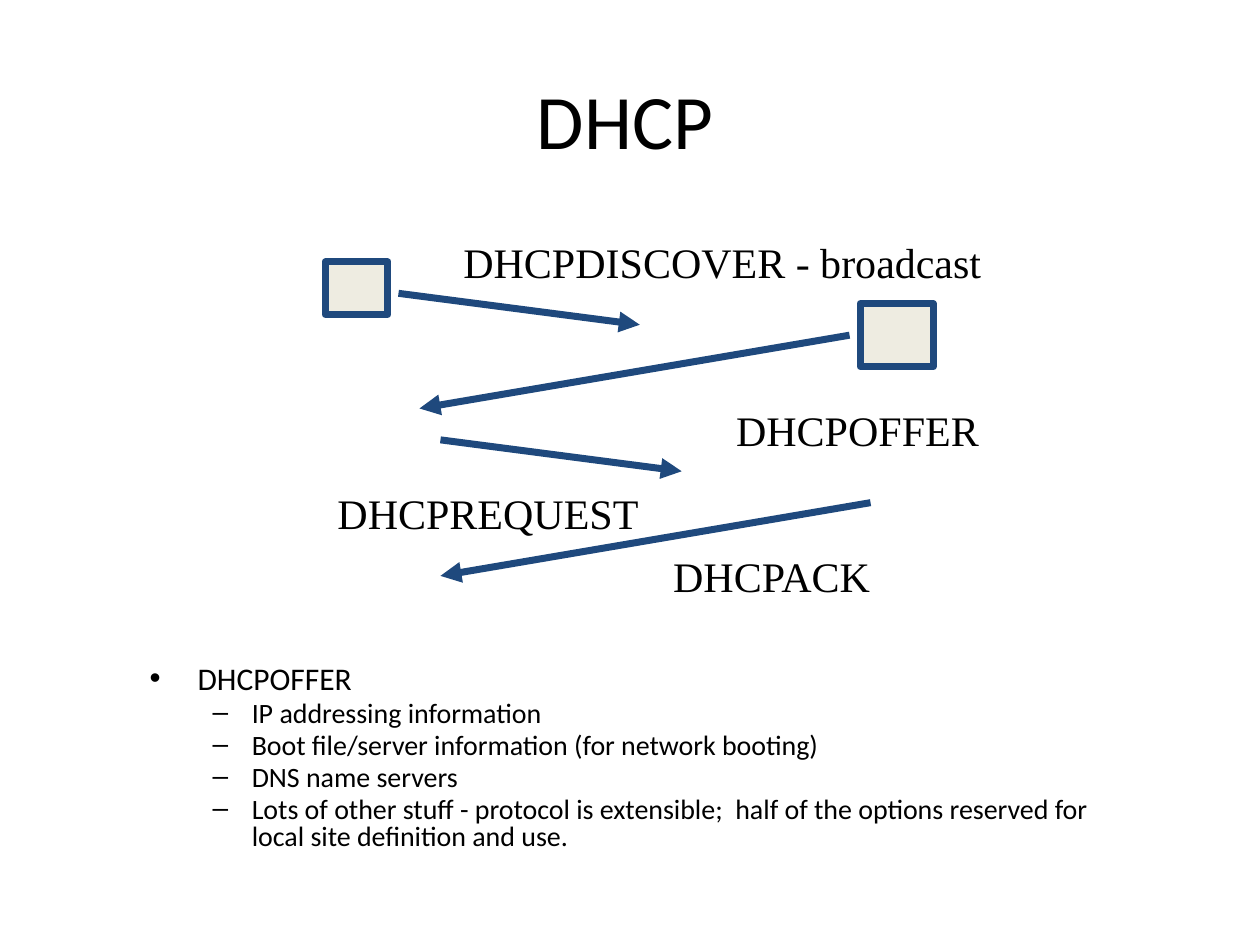
from pptx import Presentation
from pptx.dml.color import RGBColor
from pptx.enum.shapes import MSO_CONNECTOR as Connector, MSO_SHAPE as Shape
from pptx.enum.text import MSO_ANCHOR as Anchor, PP_ALIGN as Align
from pptx.oxml.ns import qn
from pptx.util import Inches, Pt
from lxml.etree import SubElement

BLACK = RGBColor(0x00, 0x00, 0x00)
NAVY = RGBColor(0x1F, 0x49, 0x7D)
CREAM = RGBColor(0xEE, 0xEC, 0xE1)
STROKE = Pt(4)
GRID_COLUMNS, GRID_ROWS = 83, 36

HOSTS = [(0, 3, 6, 5), (51, 7, 7, 6)]
MESSAGES = [
    ("DHCPDISCOVER - broadcast", (12, 0, 71, 6), (7, 6), (30, 9)),
    ("DHCPOFFER", (38, 16, 29, 6), (50, 10), (9, 17)),
    ("DHCPREQUEST", (0, 24, 32, 6), (11, 20), (34, 23)),
    ("DHCPACK", (32, 30, 29, 6), (52, 26), (11, 33)),
]
OFFER_CONTENTS = [
    ("DHCPOFFER", 0),
    ("IP addressing information", 1),
    ("Boot file/server information (for network booting)", 1),
    ("DNS name servers", 1),
    ("Lots of other stuff - protocol is extensible;  half of the options "
     "reserved for local site definition and use.", 1),
]
LEVELS = [("•", 0.38, 0.38, 18), ("–", 0.81, 0.31, 16)]


def write(paragraph, text, size, font="Calibri", align=Align.LEFT,
          spacing=None, before=0):
    """Fill a paragraph with text in the given format."""
    paragraph.text = text
    paragraph.alignment = align
    paragraph.line_spacing = spacing
    paragraph.space_before = Pt(before)
    paragraph.font.size = Pt(size)
    paragraph.font.name = font
    paragraph.font.color.rgb = BLACK


def add_bullet(paragraph, mark, margin, hang):
    """Give a paragraph a bullet mark and a hanging indent in inches."""
    properties = paragraph._p.get_or_add_pPr()
    properties.set("marL", str(Inches(margin)))
    properties.set("indent", str(-Inches(hang)))
    SubElement(properties, qn("a:buFont"), typeface="Arial")
    SubElement(properties, qn("a:buChar"), char=mark)


def add_host(slide, box):
    """Draw one host as an outlined square."""
    host = slide.shapes.add_shape(Shape.RECTANGLE, *box)
    host.shadow.inherit = False
    host.fill.solid()
    host.fill.fore_color.rgb = CREAM
    host.line.color.rgb = NAVY
    host.line.width = STROKE


def add_arrow(slide, start, end):
    """Draw a message arrow between two points."""
    arrow = slide.shapes.add_connector(Connector.STRAIGHT, *start, *end)
    arrow.line.color.rgb = NAVY
    arrow.line.width = STROKE
    SubElement(arrow.line._get_or_add_ln(), qn("a:tailEnd"), type="triangle")
    SubElement(arrow._element.spPr, qn("a:effectLst"))


def add_title(slide, box):
    """Place the slide title in the given box."""
    title = slide.shapes.title
    title.left, title.top, title.width, title.height = box
    title.text_frame.vertical_anchor = Anchor.MIDDLE
    write(title.text_frame.paragraphs[0], "DHCP", 44, align=Align.CENTER)


def add_exchange(slide, box):
    """Draw the hosts and their message exchange on a grid in the box."""
    left, top, width, height = box
    column, row = width / GRID_COLUMNS, height / GRID_ROWS

    def point(x, y):
        """Turn a grid position into slide lengths."""
        return int(left + x * column), int(top + y * row)

    def area(x, y, columns, rows):
        """Turn a grid area into a slide box."""
        return *point(x, y), int(columns * column), int(rows * row)

    for host in HOSTS:
        add_host(slide, area(*host))
    for message, label_area, start, end in MESSAGES:
        add_arrow(slide, point(*start), point(*end))
        label = slide.shapes.add_textbox(*area(*label_area)).text_frame
        label.word_wrap = True
        write(label.paragraphs[0], message, 24, font="Times New Roman")


def add_offer_contents(slide, box):
    """List what an offer carries in the given box."""
    frame = slide.shapes.add_textbox(*box).text_frame
    frame.word_wrap = True
    for index, (text, level) in enumerate(OFFER_CONTENTS):
        paragraph = frame.add_paragraph() if index else frame.paragraphs[0]
        paragraph.level = level
        mark, margin, hang, size = LEVELS[level]
        add_bullet(paragraph, mark, margin, hang)
        write(paragraph, text, size, spacing=0.79,
              before=0.2 * size if index else 0)


def main():
    """Build and save the slide."""
    deck = Presentation()
    deck.slide_width, deck.slide_height = Inches(10), Inches(7.5)
    slide = deck.slides.add_slide(deck.slide_layouts[5])
    add_title(slide, [Inches(n) for n in (0.17, 0.32, 9.58, 1.25)])
    add_offer_contents(slide, [Inches(n) for n in (1.09, 5.24, 8.07, 1.42)])
    add_exchange(slide, [Inches(n) for n in (2.58, 1.83, 6.91, 2.99)])
    deck.save("out.pptx")


if __name__ == "__main__":
    main()
